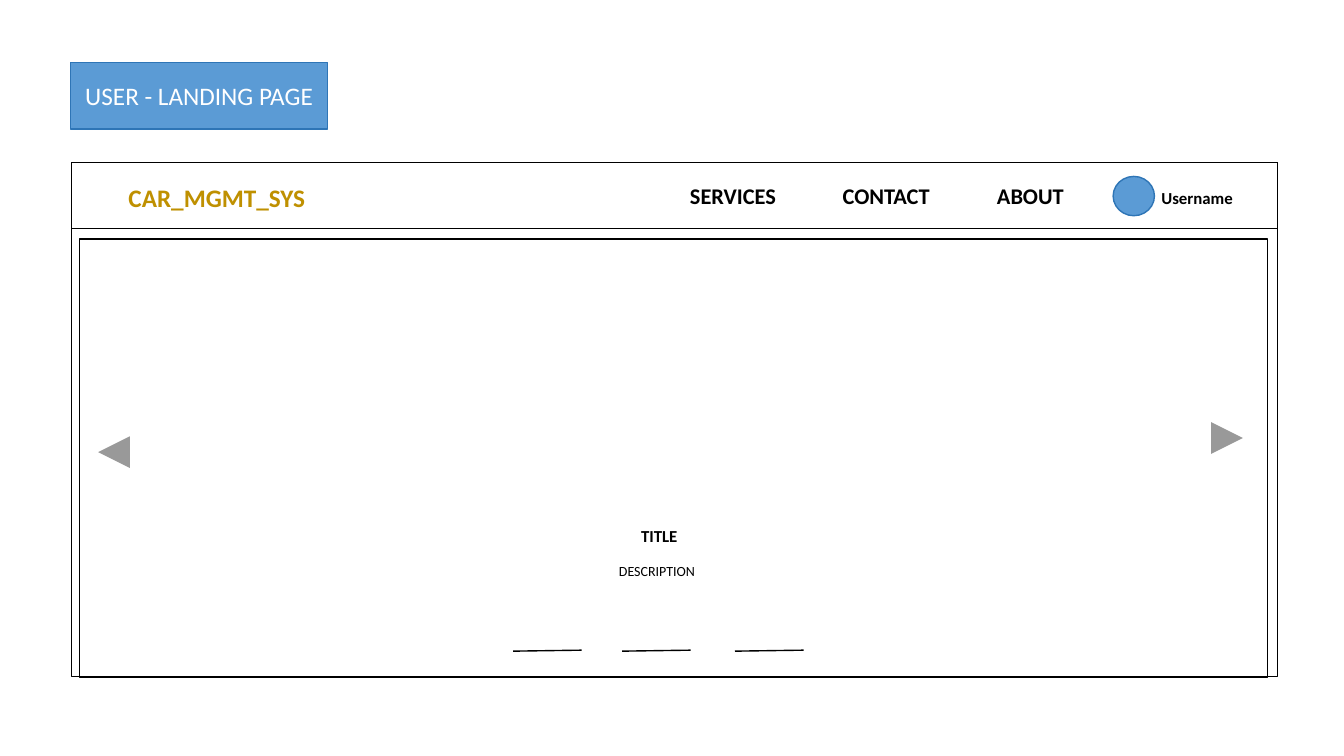
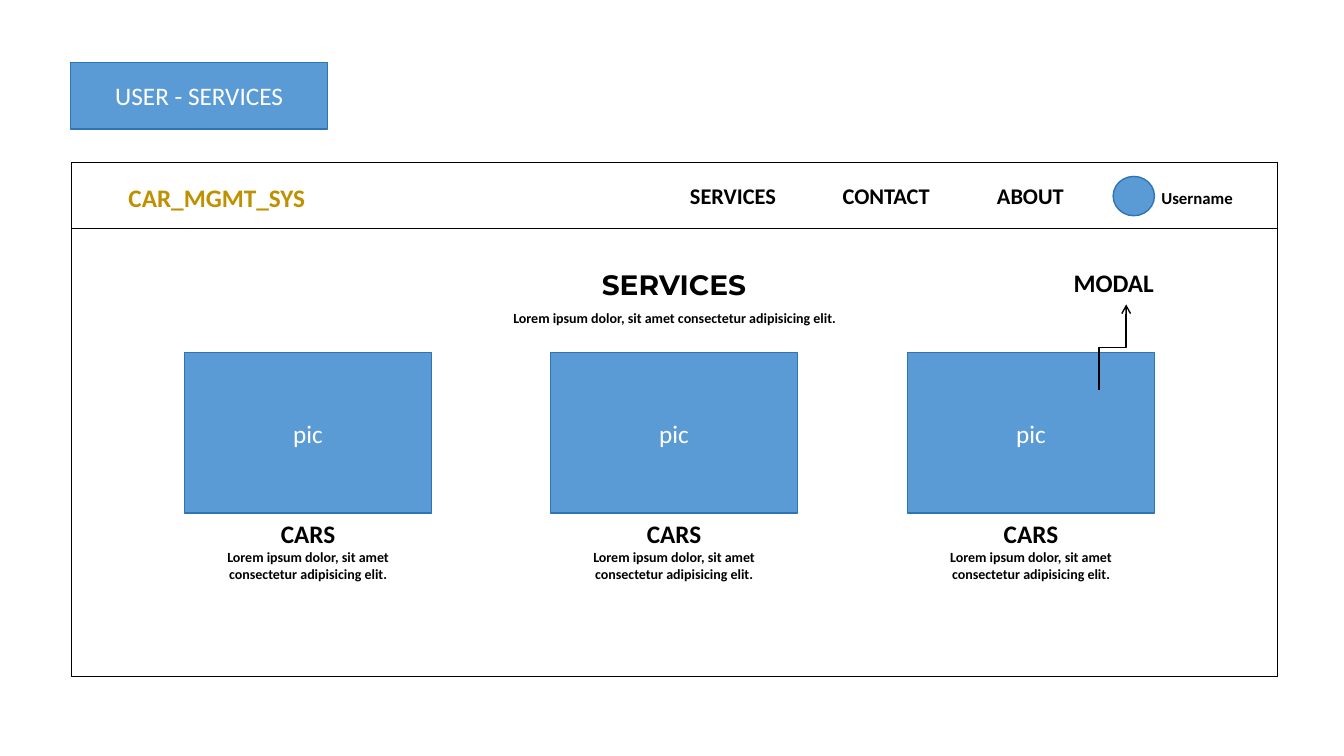
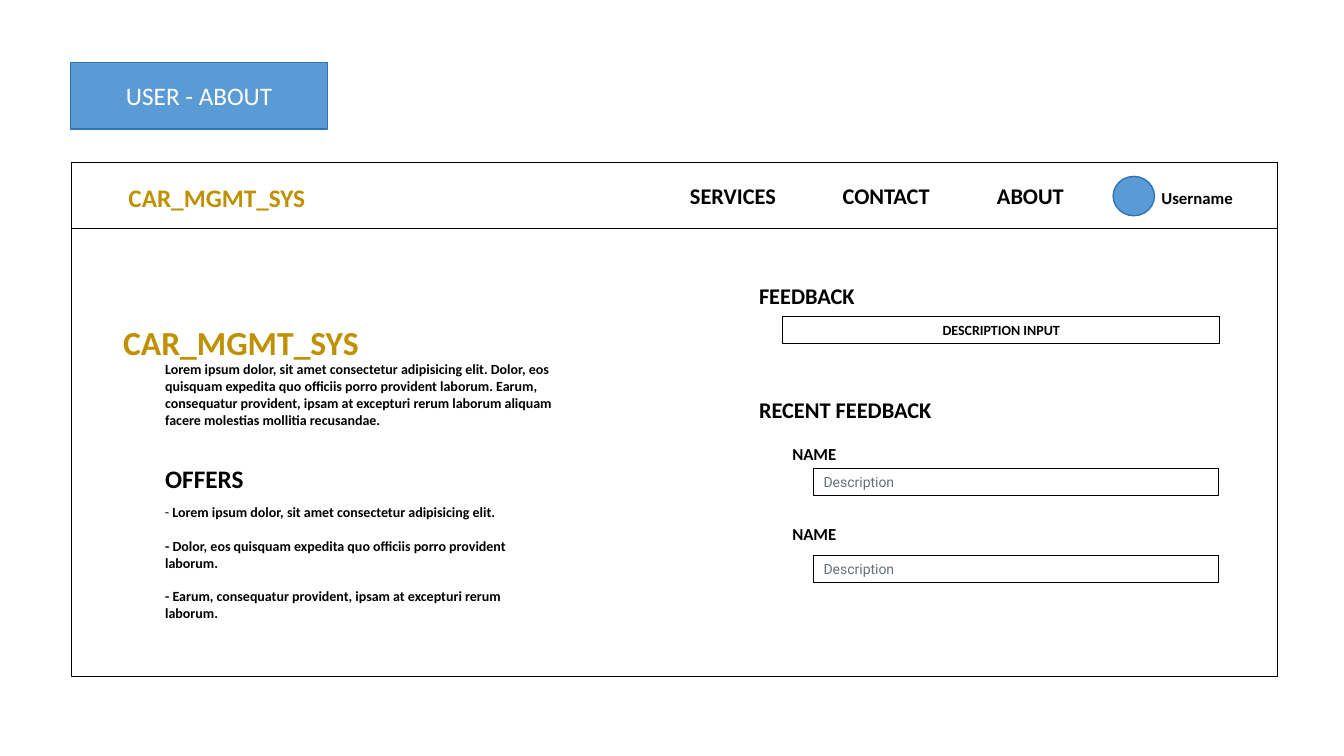
import dataclasses

import pptx
import pptx.dml.color
import pptx.enum.shapes
import pptx.enum.text
import pptx.oxml
import pptx.oxml.ns
import pptx.util

Inches = pptx.util.Inches
Pt = pptx.util.Pt
SHAPE = pptx.enum.shapes.MSO_SHAPE
CONNECTOR = pptx.enum.shapes.MSO_CONNECTOR
ALIGN = pptx.enum.text.PP_ALIGN
ANCHOR = pptx.enum.text.MSO_ANCHOR


@dataclasses.dataclass(frozen=True)
class Face:
    size: int
    color: str = "000000"
    bold: bool = True
    font: str = "Calibri"


class Theme:
    INK = "000000"
    PAPER = "FFFFFF"
    BLUE = "5B9BD5"
    BLUE_EDGE = "2E75B6"
    GOLD = "BF9000"
    GREY = "69707A"
    LABEL = Face(18, PAPER, False)
    BRAND = Face(18, GOLD)
    BRAND_LARGE = Face(24, GOLD)
    PAGE_HEADING = Face(20, font="Montserrat")
    HEADING = Face(18)
    NAV = Face(16)
    NAME = Face(12)
    BODY = Face(10)
    CAPTION = Face(10, bold=False)
    HINT = Face(10, GREY, False, "Roboto")


def rgb(color):
    return pptx.dml.color.RGBColor.from_string(color)


class Wireframe:
    def __init__(self):
        self.deck = pptx.Presentation()
        self.deck.slide_width = Inches(13.33)
        self.deck.slide_height = Inches(7.5)
        self.shapes = None

    def typeset(self, frame, lines, align, anchor, gap=0):
        frame.word_wrap = True
        frame.vertical_anchor = anchor
        for index, (words, face) in enumerate(lines):
            paragraph = frame.add_paragraph() if index else frame.paragraphs[0]
            paragraph.text = words
            paragraph.alignment = align
            if index:
                paragraph.space_before = Pt(gap)
            paragraph.font.name = face.font
            paragraph.font.size = Pt(face.size)
            paragraph.font.bold = face.bold
            paragraph.font.color.rgb = rgb(face.color)

    def text(self, at, *lines, align=ALIGN.LEFT, anchor=ANCHOR.TOP, gap=0):
        frame = self.shapes.add_textbox(*map(Inches, at)).text_frame
        self.typeset(frame, lines, align, anchor, gap)
        return frame

    def box(self, at, *lines, kind=SHAPE.RECTANGLE, fill=None, edge=Theme.INK,
            weight=1, align=ALIGN.CENTER, anchor=ANCHOR.MIDDLE):
        shape = self.shapes.add_shape(kind, *map(Inches, at))
        shape.shadow.inherit = False
        if fill:
            shape.fill.solid()
            shape.fill.fore_color.rgb = rgb(fill)
        else:
            shape.fill.background()
        if edge:
            shape.line.color.rgb = rgb(edge)
            shape.line.width = Pt(weight)
        else:
            shape.line.fill.background()
        self.typeset(shape.text_frame, lines, align, anchor)
        return shape

    def blue_box(self, at, *lines, kind=SHAPE.RECTANGLE):
        self.box(at, *lines, kind=kind, fill=Theme.BLUE, edge=Theme.BLUE_EDGE)

    def field(self, at, words, face, edge=Theme.INK, align=ALIGN.LEFT):
        self.box(at, (words, face), edge=edge, weight=0.75, align=align,
                 anchor=ANCHOR.TOP)

    def line(self, start, end, kind=CONNECTOR.STRAIGHT):
        line = self.shapes.add_connector(kind, *map(Inches, start + end))
        line.line.color.rgb = rgb(Theme.INK)
        line.line.width = Pt(1)
        properties = line.element.spPr
        properties.append(pptx.oxml.parse_xml(
            f"<a:effectLst {pptx.oxml.ns.nsdecls('a')}/>"))
        return properties

    def arrow_up(self, start, end):
        middle_x, middle_y = (start[0] + end[0]) / 2, (start[1] + end[1]) / 2
        half_run, half_rise = (end[0] - start[0]) / 2, (start[1] - end[1]) / 2
        properties = self.line((middle_x - half_rise, middle_y - half_run),
                               (middle_x + half_rise, middle_y + half_run),
                               CONNECTOR.ELBOW)
        properties.find(pptx.oxml.ns.qn("a:xfrm")).set("rot", "16200000")
        properties.find(pptx.oxml.ns.qn("a:ln")).append(pptx.oxml.parse_xml(
            f"<a:tailEnd {pptx.oxml.ns.nsdecls('a')} type='arrow'/>"))

    def page(self, label):
        self.shapes = self.deck.slides.add_slide(self.deck.slide_layouts[6]).shapes
        self.box((0.71, 1.61, 11.96, 5.1))
        self.blue_box((0.7, 0.62, 2.55, 0.66), (label, Theme.LABEL))
        self.box((0.71, 1.61, 11.96, 0.66))
        self.text((1.06, 1.78, 2.18, 0.35), ("CAR_MGMT_SYS", Theme.BRAND),
                  align=ALIGN.CENTER, anchor=ANCHOR.MIDDLE)
        for left, entry in ((6.64, "SERVICES"), (8.16, "CONTACT"), (9.59, "ABOUT")):
            self.text((left, 1.78, 1.26, 0.33), (entry, Theme.NAV),
                      align=ALIGN.CENTER, anchor=ANCHOR.MIDDLE)
        self.blue_box((11.04, 1.75, 0.41, 0.39), kind=SHAPE.OVAL)
        self.text((11.42, 1.81, 1.15, 0.3), ("Username", Theme.NAME))


def landing_page(ui):
    ui.page("USER - LANDING PAGE")
    ui.box((0.79, 2.37, 11.78, 4.35))
    for left in (5.09, 6.17, 7.29):
        ui.line((left, 6.46), (left + 0.68, 6.45))
    ui.text((6.26, 5.17, 0.76, 0.3), ("TITLE", Theme.NAME))
    ui.text((5.92, 5.53, 1.19, 0.27), ("DESCRIPTION", Theme.CAPTION),
            align=ALIGN.CENTER)
    for left, top, turn in ((11.96, 3.89, 0), (0.92, 4.03, 180)):
        button = ui.box((left, top, 0.42, 0.91), fill=Theme.PAPER, edge=None,
                        kind=SHAPE.ACTION_BUTTON_FORWARD_OR_NEXT)
        button.rotation = turn


def services(ui):
    tagline = "Lorem ipsum dolor, sit amet consectetur adipisicing elit."
    ui.page("USER - SERVICES")
    ui.text((5.66, 2.6, 2.05, 0.67), ("SERVICES", Theme.PAGE_HEADING),
            align=ALIGN.CENTER)
    ui.text((4.89, 3.02, 3.6, 0.24), (tagline, Theme.BODY), align=ALIGN.CENTER)
    for left in (1.83, 5.46, 9):
        ui.blue_box((left, 3.5, 2.45, 1.59), ("pic", Theme.LABEL))
        ui.text((left, 5.09, 2.45, 0.7), ("CARS", Theme.HEADING),
                (tagline, Theme.BODY), align=ALIGN.CENTER)
    ui.arrow_up((10.9, 3.87), (11.17, 3.02))
    ui.text((10.55, 2.6, 1.13, 0.4), ("MODAL", Theme.HEADING))


def about(ui):
    ui.page("USER - ABOUT")
    ui.text((1.06, 3.14, 2.66, 0.61), ("CAR_MGMT_SYS", Theme.BRAND_LARGE),
            align=ALIGN.CENTER)
    ui.text((1.54, 3.53, 4.04, 1.01), (
        "Lorem ipsum dolor, sit amet consectetur adipisicing elit. Dolor, eos "
        "quisquam expedita quo officiis porro provident laborum. Earum, "
        "consequatur provident, ipsam at excepturi rerum laborum aliquam "
        "facere molestias mollitia recusandae.", Theme.BODY))
    ui.text((1.54, 4.55, 1.13, 0.4), ("OFFERS", Theme.HEADING))
    offers = ui.text(
        (1.54, 4.95, 4.04, 0.57),
        ("- ", Theme.BODY),
        ("- Dolor, eos quisquam expedita quo officiis porro provident laborum.",
         Theme.BODY),
        ("- Earum, consequatur provident, ipsam at excepturi rerum laborum.",
         Theme.BODY),
        gap=12)
    first_offer = offers.paragraphs[0]
    dash = first_offer.runs[0]
    dash.font.name = "Roboto"
    dash.font.bold = False
    first_offer.add_run().text = (
        "Lorem ipsum dolor, sit amet consectetur adipisicing elit.")

    ui.text((7.43, 2.75, 1.36, 0.39), ("FEEDBACK", Theme.NAV))
    ui.field((7.76, 3.14, 4.34, 0.27), "DESCRIPTION INPUT", Theme.BODY,
             align=ALIGN.CENTER)
    ui.text((7.43, 3.88, 2.89, 0.37), ("RECENT FEEDBACK", Theme.NAV))
    for name_top, name_height, entry_top in ((4.35, 0.22, 4.65), (5.15, 0.26, 5.51)):
        ui.field((7.76, name_top, 2.17, name_height), "NAME", Theme.NAME,
                 edge=Theme.PAPER)
        ui.field((8.07, entry_top, 4.02, 0.27), "Description", Theme.HINT)


def main():
    ui = Wireframe()
    landing_page(ui)
    services(ui)
    about(ui)
    ui.deck.save("out.pptx")


if __name__ == "__main__":
    main()
